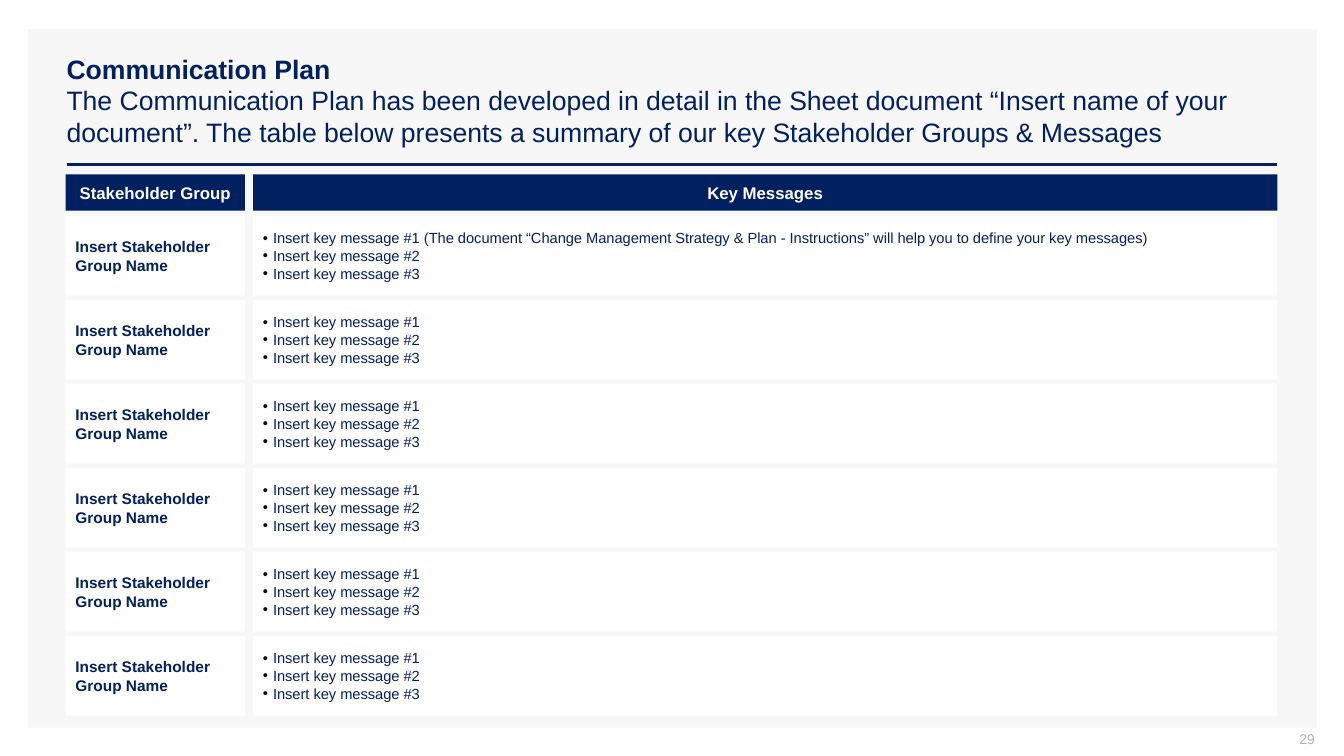
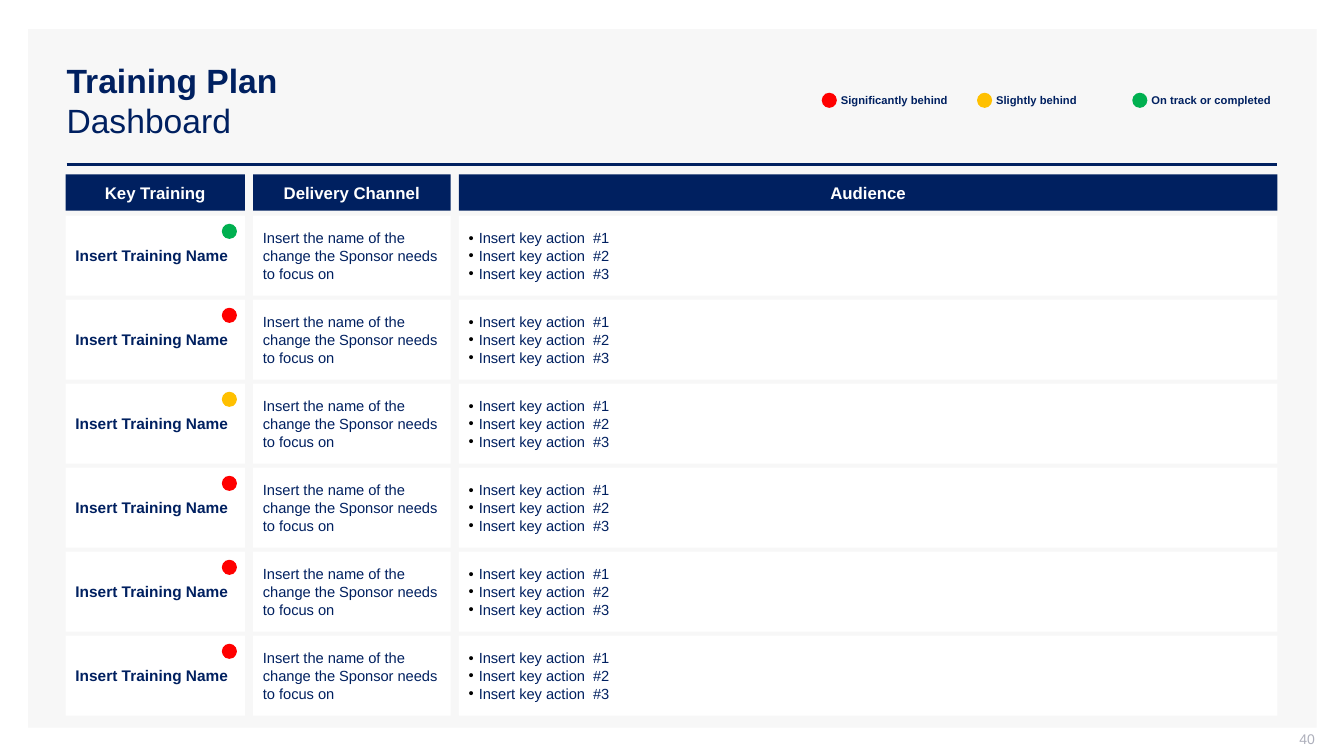
from dataclasses import dataclass

from lxml import etree
from pptx import Presentation
from pptx.dml.color import RGBColor
from pptx.enum.shapes import MSO_CONNECTOR, MSO_SHAPE
from pptx.enum.text import MSO_ANCHOR, MSO_AUTO_SIZE, PP_ALIGN
from pptx.oxml.ns import qn
from pptx.util import Inches, Pt

RECTANGLE, OVAL = MSO_SHAPE.RECTANGLE, MSO_SHAPE.OVAL
STRAIGHT = MSO_CONNECTOR.STRAIGHT
MIDDLE = MSO_ANCHOR.MIDDLE
LEFT, CENTER, RIGHT = PP_ALIGN.LEFT, PP_ALIGN.CENTER, PP_ALIGN.RIGHT
NO_AUTOFIT = MSO_AUTO_SIZE.NONE
TITLE_ONLY = 5


@dataclass(frozen=True)
class Theme:
    font: str = "Arial"
    navy: str = "002060"
    white: str = "FFFFFF"
    panel: str = "F7F7F7"
    number: str = "ADAFBB"
    bullet: str = "000000"
    red: str = "FF0000"
    amber: str = "FFC000"
    green: str = "00B050"
    long_title_size: float = 19
    short_title_size: float = 24
    header_size: float = 12
    name_size: float = 11
    body_size: float = 10.5
    number_size: float = 10
    legend_size: float = 8
    rule_width: float = 2


THEME = Theme()


@dataclass(frozen=True)
class Box:
    """A region in inches."""
    left: float
    top: float
    width: float
    height: float

    @property
    def right(self):
        return self.left + self.width

    @property
    def emu(self):
        return [Inches(value) for value in (self.left, self.top, self.width, self.height)]

    def columns(self, widths, gap):
        """Cut into the given widths; the last column takes what remains."""
        left, parts = self.left, []
        for width in (*widths, None):
            width = self.right - left if width is None else width
            parts.append(Box(left, self.top, width, self.height))
            left += width + gap
        return parts

    def rows(self, count, gap):
        pitch = (self.height + gap) / count
        return [Box(self.left, self.top + index * pitch, self.width, pitch - gap)
                for index in range(count)]


SLIDE = Box(0, 0, 13.33, 7.5)
PANEL = Box(0.28, 0.29, 12.78, 6.93)
TITLE = Box(0.56, 0.4, 12.11, 1.19)
RULE = Box(0.66, 1.63, 12.01, 0)
HEADER = Box(0.65, 1.73, 12.02, 0.36)
BODY = Box(0.65, 2.14, 12.02, 4.96)
LEGEND = Box(8.15, 0.8, 4.62, 0.39)
NUMBER = Box(10.04, 7.25, 3, 0.21)
COLUMN_GAP, ROW_GAP = 0.08, 0.04
NAME_WIDTH, CHANNEL_WIDTH = 1.78, 1.96
DOT, DOT_INSET = 0.15, 0.08
ROW_COUNT = 6

HEADER_INSETS = (0.02, 0.02, 0.02, 0.02)
CELL_INSETS = (0.1, 0.05, 0.1, 0.05)
NO_INSETS = (0, 0, 0, 0)
NUMBER_INSETS = (0.1, 0, 0, 0.05)


def apply(target, formats):
    for name, value in formats.items():
        setattr(target, name, value)


def place(shape, box):
    apply(shape, dict(zip(("left", "top", "width", "height"), box.emu)))


def style_font(font, size, color, bold=False):
    apply(font, {"name": THEME.font, "size": Pt(size), "bold": bold})
    font.color.rgb = RGBColor.from_string(color)


def add_bullet(para):
    props = para._p.get_or_add_pPr()
    indent = Inches(0.1)
    props.set("marL", str(indent))
    props.set("indent", str(-indent))
    color = etree.SubElement(props, qn("a:buClr"))
    etree.SubElement(color, qn("a:srgbClr"), val=THEME.bullet)
    etree.SubElement(props, qn("a:buFont"), typeface=THEME.font)
    etree.SubElement(props, qn("a:buChar"), char="•")


def write(shape, lines, size, color=THEME.navy, bold=False, align=LEFT,
          insets=CELL_INSETS, space=0, bullets=False):
    frame = shape.text_frame
    sides = ("margin_left", "margin_top", "margin_right", "margin_bottom")
    apply(frame, {"word_wrap": True, "vertical_anchor": MIDDLE,
                  **{side: Inches(inset) for side, inset in zip(sides, insets)}})
    for index, line in enumerate(lines):
        para = frame.add_paragraph() if index else frame.paragraphs[0]
        apply(para, {"alignment": align, "space_before": Pt(space),
                     "space_after": Pt(space)})
        if bullets:
            add_bullet(para)
        span = para.add_run()
        span.text = line
        style_font(span.font, size, color, bold)


def add_filled(page, kind, box, color):
    shape = page.shapes.add_shape(kind, *box.emu)
    shape.shadow.inherit = False
    shape.fill.solid()
    shape.fill.fore_color.rgb = RGBColor.from_string(color)
    shape.line.fill.background()
    return shape


def add_text(page, box, lines, size, **formats):
    write(page.shapes.add_textbox(*box.emu), lines, size, **formats)


def add_dot(page, left, top, color):
    add_filled(page, OVAL, Box(left, top, DOT, DOT), color)


def prepare_layout(layout, page):
    """Draw the panel and rule on a page, then move them to its layout."""
    for holder in list(layout.placeholders):
        if holder.placeholder_format.idx:
            holder.element.getparent().remove(holder.element)
        else:
            place(holder, TITLE)
    panel = add_filled(page, RECTANGLE, PANEL, THEME.panel)
    rule = page.shapes.add_connector(STRAIGHT, Inches(RULE.left), Inches(RULE.top),
                                     Inches(RULE.right), Inches(RULE.top))
    rule.line.width = Pt(THEME.rule_width)
    rule.line.color.rgb = RGBColor.from_string(THEME.navy)
    etree.SubElement(rule.element.spPr, qn("a:effectLst"))
    for position, part in enumerate((panel, rule), start=2):
        layout.shapes.element.insert(position, part.element)


def add_heading(page, name, detail, size):
    title = page.shapes.title
    place(title, TITLE)
    apply(title.text_frame, {"auto_size": NO_AUTOFIT, "word_wrap": True,
                             "vertical_anchor": MIDDLE})
    para = title.text_frame.paragraphs[0]
    para.alignment = LEFT
    for text, bold in ((name, True), (detail, False)):
        span = para.add_run()
        span.text = text
        style_font(span.font, size, THEME.navy, bold)
        if bold:
            para.add_line_break()


def add_number(page, number):
    add_text(page, NUMBER, [str(number)], THEME.number_size, color=THEME.number,
             align=RIGHT, insets=NUMBER_INSETS)


def add_headers(page, box, widths, labels):
    for cell, label in zip(box.columns(widths, COLUMN_GAP), labels):
        shape = add_filled(page, RECTANGLE, cell, THEME.navy)
        write(shape, [label], THEME.header_size, color=THEME.white, bold=True,
              align=CENTER, insets=HEADER_INSETS)


def add_rows(page, box, widths, rows):
    """Fill each row: a bold name, plain text between, bullets in the last cell."""
    name_style = {"size": THEME.name_size, "bold": True, "space": 6}
    plain_style = {"size": THEME.body_size, "space": 6}
    bullet_style = {"size": THEME.body_size, "bullets": True}
    styles = [name_style, *[plain_style] * (len(widths) - 1), bullet_style]
    for row_box, row in zip(box.rows(len(rows), ROW_GAP), rows):
        for cell, lines, style in zip(row_box.columns(widths, COLUMN_GAP), row, styles):
            write(add_filled(page, RECTANGLE, cell, THEME.white), lines, **style)


def add_status_dots(page, box, colors):
    for row, color in zip(box.rows(len(colors), ROW_GAP), colors):
        add_dot(page, row.left + NAME_WIDTH - DOT_INSET - DOT, row.top + DOT_INSET, color)


def add_legend(page, box, entries):
    pitch = box.width / len(entries)
    label_offset = DOT + 0.04
    for index, (label, color) in enumerate(entries):
        left = box.left + index * pitch
        add_dot(page, left, box.top + (box.height - DOT) / 2, color)
        add_text(page, Box(left + label_offset, box.top, pitch - label_offset, box.height),
                 [label], THEME.legend_size, bold=True, insets=NO_INSETS)


def numbered(text):
    return [f"{text} #{number}" for number in range(1, 4)]


def build_communication(page):
    widths = [NAME_WIDTH]
    add_heading(page, "Communication Plan",
                "The Communication Plan has been developed in detail in the Sheet document "
                "“Insert name of your document”. The table below presents a summary of our "
                "key Stakeholder Groups & Messages", THEME.long_title_size)
    add_number(page, 29)
    add_headers(page, HEADER, widths, ["Stakeholder Group", "Key Messages"])
    messages = [numbered("Insert key message") for _ in range(ROW_COUNT)]
    messages[0][0] += (" (The document “Change Management Strategy & Plan - Instructions” "
                       "will help you to define your key messages)")
    add_rows(page, BODY, widths,
             [(["Insert Stakeholder Group Name"], lines) for lines in messages])


def build_training(page):
    widths = [NAME_WIDTH, CHANNEL_WIDTH]
    add_heading(page, "Training Plan", "Dashboard", THEME.short_title_size)
    add_number(page, 40)
    add_headers(page, HEADER, widths, ["Key Training", "Delivery Channel", "Audience"])
    row = (["Insert Training Name"],
           ["Insert the name of the change the Sponsor needs to focus on"],
           numbered("Insert key action "))
    add_rows(page, BODY, widths, [row] * ROW_COUNT)
    add_legend(page, LEGEND, [("Significantly behind", THEME.red),
                              ("Slightly behind", THEME.amber),
                              ("On track or completed", THEME.green)])
    add_status_dots(page, BODY, [THEME.green, THEME.red, THEME.amber,
                                 THEME.red, THEME.red, THEME.red])


def main():
    deck = Presentation()
    deck.slide_width, deck.slide_height = SLIDE.emu[2:]
    layout = deck.slide_layouts[TITLE_ONLY]
    pages = [deck.slides.add_slide(layout) for _ in range(2)]
    prepare_layout(layout, pages[0])
    for build, page in zip((build_communication, build_training), pages):
        build(page)
    deck.save("out.pptx")


if __name__ == "__main__":
    main()
